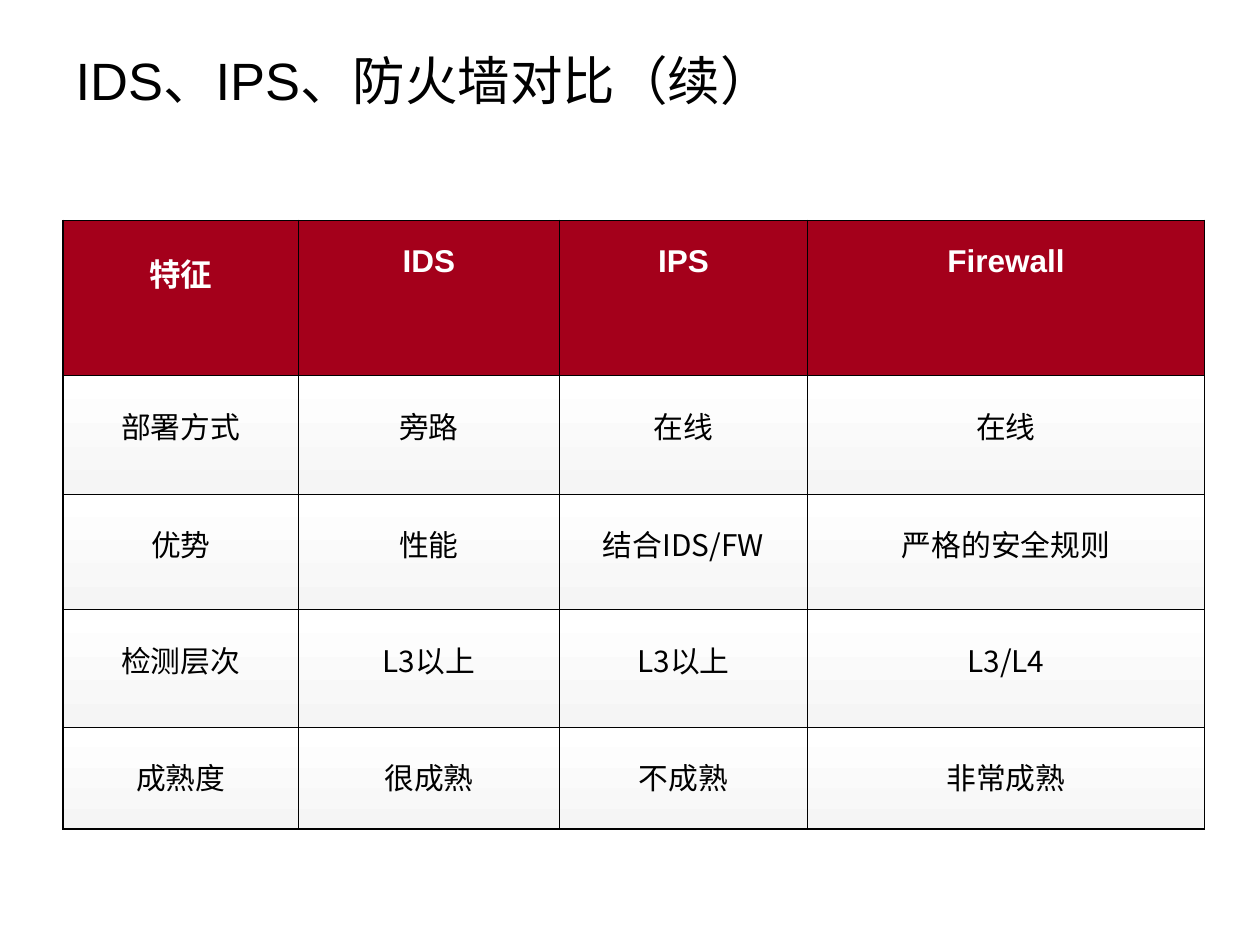
from lxml import etree
from pptx import Presentation
from pptx.dml.color import RGBColor
from pptx.enum import text as txt
from pptx.oxml import ns
from pptx.util import Inches, Pt

BLACK = RGBColor(0x00, 0x00, 0x00)
WHITE = RGBColor(0xFF, 0xFF, 0xFF)
RED = RGBColor(0xA4, 0x00, 0x1B)
PALE = RGBColor(0xF5, 0xF5, 0xF5)
SANS = "Arial"
HAN = "Noto Sans CJK SC"
THIN, THICK = 0.45, 1.08

COLS = [1.87, 2.07, 1.97, 3.15]
ROWS = [1.23, 0.94, 0.92, 0.93, 0.81]
DATA = [
    ["特征", "IDS", "IPS", "Firewall"],
    ["部署方式", "旁路", "在线", "在线"],
    ["优势", "性能", "结合IDS/FW", "严格的安全规则"],
    ["检测层次", "L3以上", "L3以上", "L3/L4"],
    ["成熟度", "很成熟", "不成熟", "非常成熟"],
]


def style(par, size, color, face, bold=False):
    """Format every run, with the Han font for Chinese letters."""
    for run in par.runs:
        font = run.font
        font.size, font.bold, font.name = Pt(size), bold, face
        font.color.rgb = color
        etree.SubElement(run._r.get_or_add_rPr(), ns.qn("a:ea"), typeface=HAN)


def border(cell, side, width):
    line = etree.SubElement(cell._tc.get_or_add_tcPr(), ns.qn("a:ln" + side),
                            w=str(Pt(width)))
    fill = etree.SubElement(line, ns.qn("a:solidFill"))
    etree.SubElement(fill, ns.qn("a:srgbClr"), val=str(BLACK))


def shade(cell):
    """White to pale grey, from top to bottom."""
    cell.fill.gradient()
    cell.fill.gradient_angle = 270
    for stop, color, pos in zip(cell.fill.gradient_stops, (WHITE, PALE), (0, 1)):
        stop.color.rgb = color
        stop.position = pos


def add_title(slide, x, y, w, h):
    title = slide.shapes.title
    title.left, title.top, title.width, title.height = x, y, w, h
    frame = title.text_frame
    frame.text = "IDS、IPS、防火墙对比（续）"
    frame.vertical_anchor = txt.MSO_ANCHOR.MIDDLE
    par = frame.paragraphs[0]
    par.alignment = txt.PP_ALIGN.LEFT
    style(par, 30, BLACK, SANS)


def fill_cell(cell, words, row, col):
    head = row == 0
    # Thick lines on the outer edge, thin ones inside
    edges = {"L": col == 0, "R": col == len(COLS) - 1,
             "T": head, "B": row == len(ROWS) - 1}
    for side, outer in edges.items():
        border(cell, side, THICK if outer else THIN)
    if head:
        cell.fill.solid()
        cell.fill.fore_color.rgb = RED
    else:
        shade(cell)
    # Text
    cell.text_frame.text = words
    par = cell.text_frame.paragraphs[0]
    par.alignment = txt.PP_ALIGN.CENTER
    par.line_spacing = 1.5
    par.space_before = Pt(4.5 if head else 4.2)
    if head:
        style(par, 18, WHITE, SANS if col else HAN, bold=True)
    else:
        style(par, 17, BLACK, HAN)


def add_grid(slide, x, y, w, h):
    table = slide.shapes.add_table(len(ROWS), len(COLS), x, y, w, h).table
    table.first_row = table.horz_banding = False
    for col, width in zip(table.columns, COLS):
        col.width = Inches(width)
    for row, height in zip(table.rows, ROWS):
        row.height = Inches(height)
    for r, line in enumerate(DATA):
        for c, words in enumerate(line):
            fill_cell(table.cell(r, c), words, r, c)


def main():
    prs = Presentation()
    prs.slide_width, prs.slide_height = Inches(10), Inches(7.5)
    slide = prs.slides.add_slide(prs.slide_layouts[5])
    add_title(slide, Inches(0.5), Inches(0.21), Inches(8.2), Inches(0.85))
    add_grid(slide, Inches(0.5), Inches(1.75), Inches(9.07), Inches(4.84))
    prs.save("out.pptx")


if __name__ == "__main__":
    main()
